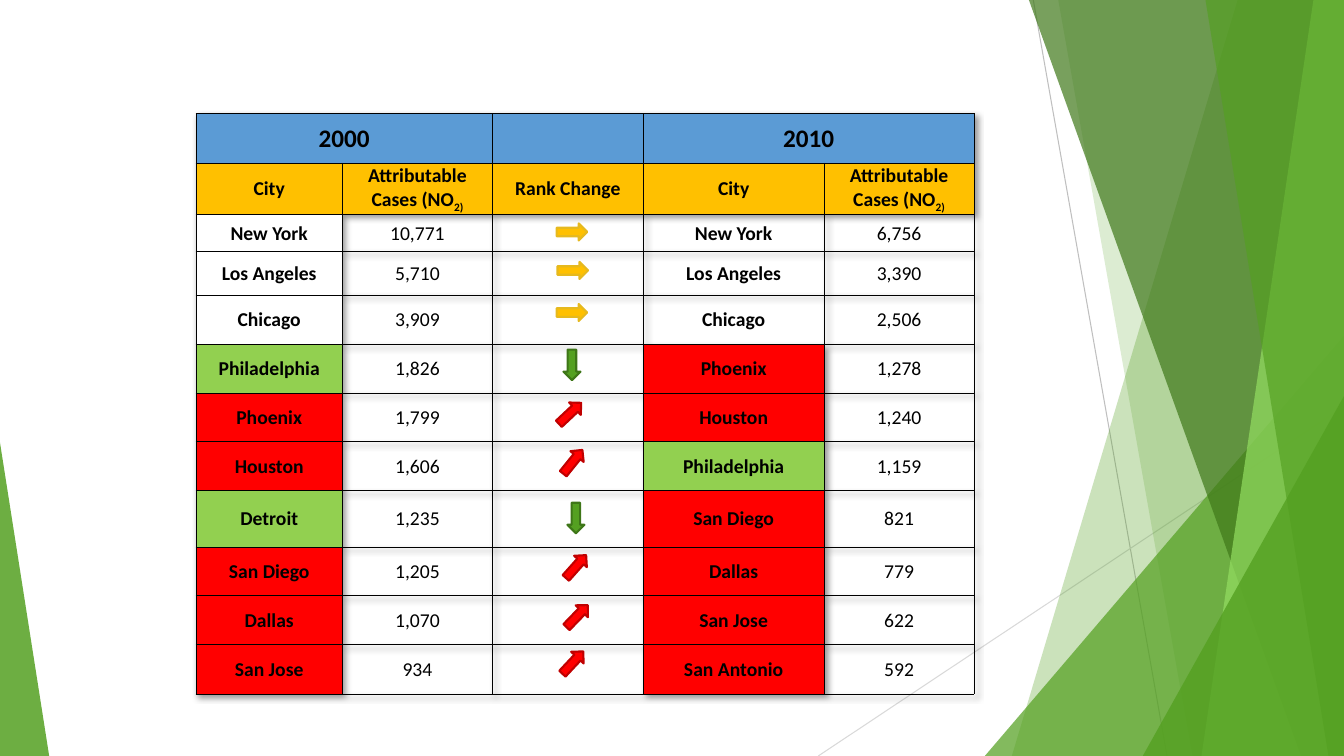
from lxml.etree import SubElement
from pptx import Presentation
from pptx.dml.color import RGBColor
from pptx.enum.shapes import MSO_CONNECTOR, MSO_SHAPE
from pptx.enum.text import MSO_ANCHOR, PP_ALIGN
from pptx.oxml import parse_xml
from pptx.oxml.ns import nsdecls, qn
from pptx.util import Cm, Pt

# Content: 2000 city, cases, 2010 city, cases, rank move
ROWS = [
    ("New York", "10,771", "New York", "6,756", "steady"),
    ("Los Angeles", "5,710", "Los Angeles", "3,390", "steady"),
    ("Chicago", "3,909", "Chicago", "2,506", "steady"),
    ("Philadelphia", "1,826", "Phoenix", "1,278", "fell"),
    ("Phoenix", "1,799", "Houston", "1,240", "rose"),
    ("Houston", "1,606", "Philadelphia", "1,159", "rose"),
    ("Detroit", "1,235", "San Diego", "821", "fell"),
    ("San Diego", "1,205", "Dallas", "779", "rose"),
    ("Dallas", "1,070", "San Jose", "622", "rose"),
    ("San Jose", "934", "San Antonio", "592", "rose"),
]
YEARS = ["2000", "", "", "2010", ""]
CASES = "Attributable Cases (NO"
HEADINGS = ["City", CASES, "Rank Change", "City", CASES]

# Left, top and rotation of each rank arrow
ARROWS = [
    (14.2, 5.46, 270), (14.22, 6.43, 270), (14.2, 7.49, 270), (14.2, 8.81, 0),
    (14.15, 10.03, 226.8), (14.22, 11.25, 219), (14.3, 12.67, 0),
    (14.3, 13.89, 221.7), (14.33, 15.14, 224.1), (14.22, 16.31, 223.1),
]
COLORS = {
    "black": "000000", "white": "FFFFFF", "year": "5B9BD5", "heading": "FFC000",
    "green": "54A021", "dark": "3F7819", "light": "94DE61",
    "line": "BFBFBF", "pale line": "D9D9D9",
}
CITY_FILL = {"steady": "FFFFFF", "fell": "92D050", "rose": "FF0000"}
ARROW_STYLE = {"steady": ("FFC000", "E6B91E"), "fell": ("54A021", "3E7618"),
               "rose": ("FF0000", "C00000")}

# Background, back to front
WIDTH, HEIGHT = 33.87, 19.05
LINES = [(26.04, 0, 29.41, HEIGHT, "line"), (WIDTH, 10.24, 20.62, HEIGHT, "pale line")]
# band: left edge at top and bottom; wedge: left, top, width, apex
FACETS = [
    ("band", (31.19, 25.5), "green", 30),
    ("band", (26.67, 30.05), "green", 20),
    ("wedge", (24.82, 8.46, 9.05, 1), "green", 72),
    ("band", (25.93, 32.79), "dark", 70),
    ("band", (33.1, 30.28), "light", 70),
    ("band", (30.38, 33.48), "green", 65),
    ("wedge", (28.8, 9.98, 5.07, 1), "green", 80),
    ("wedge", (0, 11.15, 1.24, 0), "green", 85),
]

COL_WIDTHS = [3.69, 3.78, 3.8, 4.56, 3.78]
ROW_HEIGHTS = [1.25, 1.27, 0.94, 1.09, 1.25, 1.22, 1.23, 1.23, 1.42, 1.23, 1.23, 1.25]


def paint(fill, color, alpha=None):
    fill.solid()
    fill.fore_color.rgb = RGBColor.from_string(color)
    if alpha:
        srgb = fill._xPr.find(qn("a:solidFill"))[0]
        SubElement(srgb, qn("a:alpha"), val=str(alpha * 1000))


def style_cell(cell, text, size, bold, color):
    cell.margin_left = cell.margin_right = cell.margin_top = Cm(0.02)
    cell.margin_bottom = 0
    cell.vertical_anchor = MSO_ANCHOR.MIDDLE
    for side in ("lnL", "lnR", "lnT", "lnB"):
        ln = SubElement(cell._tc.get_or_add_tcPr(), qn(f"a:{side}"), w=str(Pt(0.5)))
        SubElement(SubElement(ln, qn("a:solidFill")), qn("a:srgbClr"), val=COLORS["black"])
    if color:
        paint(cell.fill, color)
    else:
        cell.fill.background()
    p = cell.text_frame.paragraphs[0]
    p.alignment = PP_ALIGN.CENTER
    if not text:
        return
    p.text = text
    if text == CASES:
        r = p.add_run()
        r.text = "2)"
        r.font._element.set("baseline", "-25000")
    for r in p.runs:
        r.font.name, r.font.size, r.font.bold = "Calibri", Pt(size), bold
        r.font.color.rgb = RGBColor.from_string(COLORS["black"])


prs = Presentation()
prs.slide_width, prs.slide_height = Cm(WIDTH), Cm(HEIGHT)
s = prs.slides.add_slide(prs.slide_layouts[6])

# Background lines and facets
for x1, y1, x2, y2, color in LINES:
    sp = s.shapes.add_connector(MSO_CONNECTOR.STRAIGHT, Cm(x1), Cm(y1), Cm(x2), Cm(y2))
    sp.line.color.rgb = RGBColor.from_string(COLORS[color])
    sp.line.width = Pt(0.75)
    SubElement(sp._element.spPr, qn("a:effectLst"))

for kind, place, color, alpha in FACETS:
    if kind == "band":
        top, bottom = place
        fb = s.shapes.build_freeform(Cm(top), 0)
        fb.add_line_segments([(Cm(WIDTH), 0), (Cm(WIDTH), Cm(HEIGHT)), (Cm(bottom), Cm(HEIGHT))])
        sp = fb.convert_to_shape()
    else:
        x, y, w, apex = place
        sp = s.shapes.add_shape(MSO_SHAPE.ISOSCELES_TRIANGLE, Cm(x), Cm(y), Cm(w), Cm(HEIGHT - y))
        sp.adjustments[0] = apex
    paint(sp.fill, COLORS[color], alpha)
    sp.line.fill.background()
    sp.shadow.inherit = False

# Table
frame = s.shapes.add_table(len(ROW_HEIGHTS), len(COL_WIDTHS), Cm(4.94), Cm(2.86),
                           Cm(sum(COL_WIDTHS)), Cm(sum(ROW_HEIGHTS)))
table = frame.table
table.first_row = table.horz_banding = False
table._tbl.tblPr.insert(0, parse_xml(
    f'<a:effectLst {nsdecls("a")}><a:outerShdw blurRad="50800" dist="38100" dir="2700000" '
    'algn="tl" rotWithShape="0"><a:srgbClr val="000000"><a:alpha val="40000"/></a:srgbClr>'
    '</a:outerShdw></a:effectLst>'))
for col, width in zip(table.columns, COL_WIDTHS):
    col.width = Cm(width)
for row, height in zip(table.rows, ROW_HEIGHTS):
    row.height = Cm(height)

for c, (year, heading) in enumerate(zip(YEARS, HEADINGS)):
    style_cell(table.cell(0, c), year, 18, True, COLORS["year"])
    style_cell(table.cell(1, c), heading, 14, True, COLORS["heading"])
for c in (0, 3):
    table.cell(0, c).merge(table.cell(0, c + 1))

moves = {row[0]: row[4] for row in ROWS}
for i, (city_2000, cases_2000, city_2010, cases_2010, move) in enumerate(ROWS, 2):
    later = moves.get(city_2010, "rose")
    later_fill = None if later == "steady" else CITY_FILL[later]
    cells = [(city_2000, True, CITY_FILL[move]), (cases_2000, False, None), ("", False, None),
             (city_2010, True, later_fill), (cases_2010, False, None)]
    for c, (text, bold, color) in enumerate(cells):
        style_cell(table.cell(i, c), text, 14, bold, color)

# Rank arrows
for row, (x, y, angle) in zip(ROWS, ARROWS):
    fill, outline = ARROW_STYLE[row[4]]
    sp = s.shapes.add_shape(MSO_SHAPE.DOWN_ARROW, Cm(x), Cm(y), Cm(0.43), Cm(0.77))
    sp.rotation = angle
    paint(sp.fill, fill)
    sp.line.color.rgb = RGBColor.from_string(outline)
    sp.line.width = Pt(1.5)
    sp.shadow.inherit = False

prs.save("out.pptx")
